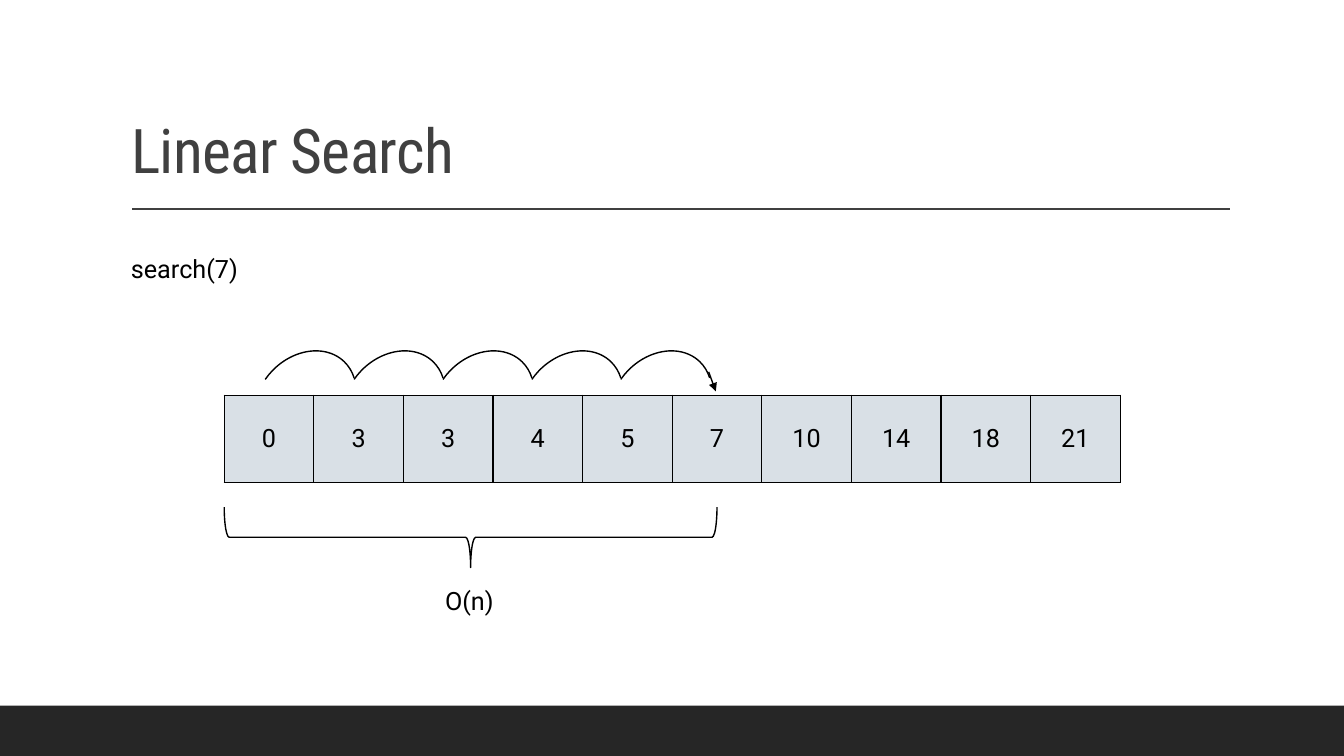
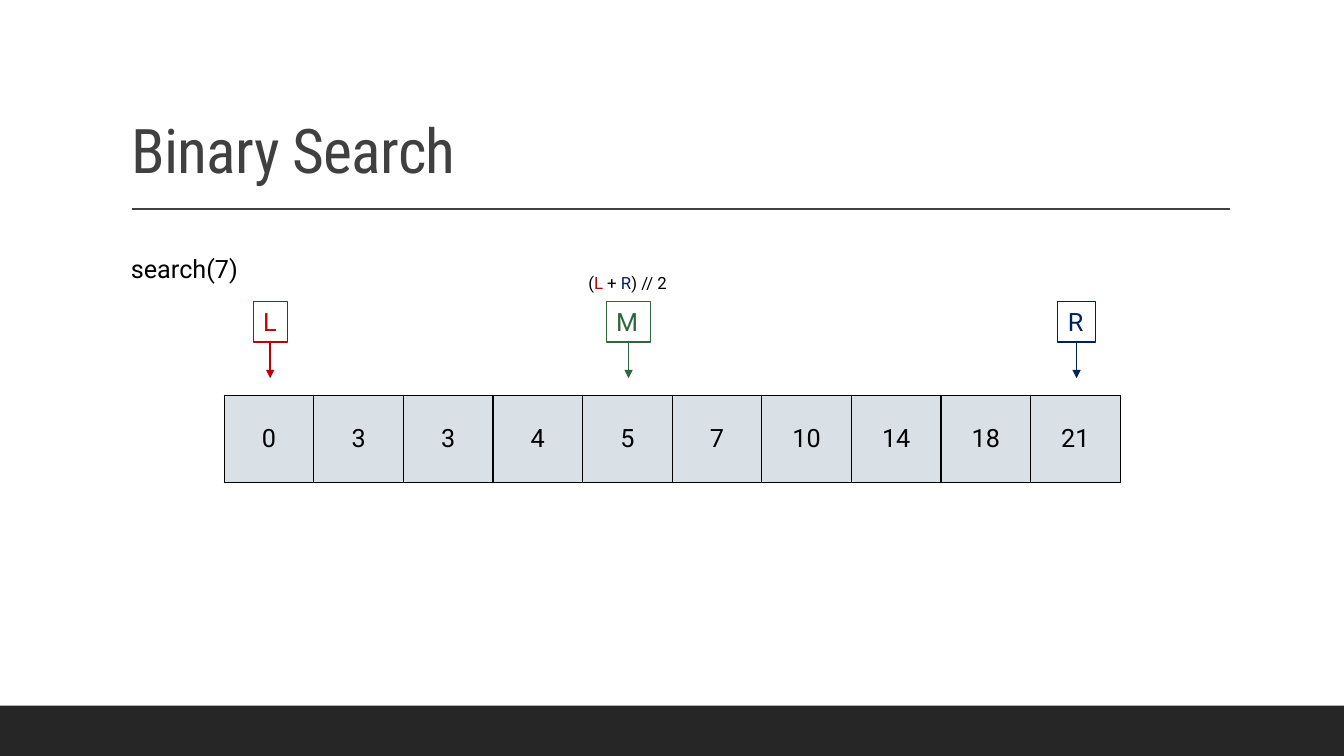
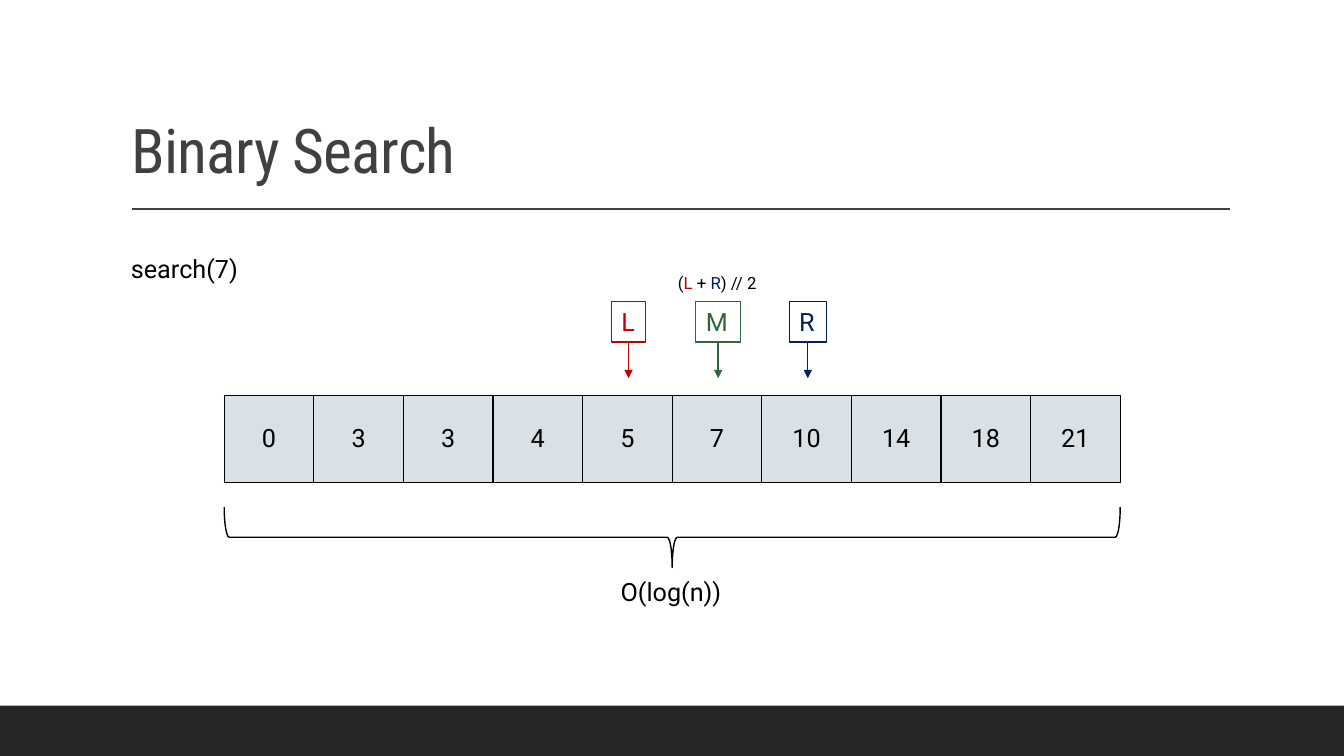
from dataclasses import dataclass

from lxml.etree import SubElement
from pptx import Presentation
from pptx.dml.color import RGBColor
from pptx.enum.shapes import MSO_CONNECTOR as Connector, MSO_SHAPE as Preset
from pptx.enum.text import MSO_ANCHOR as Anchor, MSO_AUTO_SIZE as AutoSize, PP_ALIGN as Align
from pptx.oxml.ns import qn
from pptx.util import Cm, Pt

BLACK = RGBColor(0x00, 0x00, 0x00)
BAND = RGBColor(0x26, 0x26, 0x26)
GREY = RGBColor(0x40, 0x40, 0x40)
CELL_FILL = RGBColor(0xD9, 0xE0, 0xE6)
RED = RGBColor(0xC0, 0x00, 0x00)
NAVY = RGBColor(0x00, 0x20, 0x60)
GREEN = RGBColor(0x2F, 0x66, 0x3E)

BODY_FONT = "Roboto"
TITLE_FONT = "Roboto Condensed"
VALUES = (0, 3, 3, 4, 5, 7, 10, 14, 18, 21)
POINTERS = {"L": (RED, 0.86), "M": (GREEN, 1.12), "R": (NAVY, 0.94)}
FORMULA = (("(", BLACK), ("L", RED), (" + ", BLACK), ("R", NAVY), (") // 2", BLACK))


@dataclass
class Box:
    left: float
    top: float
    width: float
    height: float

    def lengths(self):
        return Cm(self.left), Cm(self.top), Cm(self.width), Cm(self.height)

    def cell_middle(self, index):
        return self.left + self.width / len(VALUES) * (index + 0.5)


SLIDE = Box(0, 0, 33.87, 19.05)
TITLE = Box(3.05, 0.79, 27.94, 4.04)
CALL = Box(3.05, 6.25, 3.3, 1.02)
ARRAY = Box(5.65, 9.96, 22.58, 2.19)


def style_span(span, color, size=18, font=BODY_FONT):
    span.font.name = font
    span.font.size = Pt(size)
    span.font.color.rgb = color


def style_runs(para, color, size=18, font=BODY_FONT):
    for span in para.runs:
        style_span(span, color, size, font)


def fit_text(frame):
    frame.word_wrap = False
    frame.auto_size = AutoSize.SHAPE_TO_FIT_TEXT
    frame.vertical_anchor = Anchor.TOP


def add_label(page, box, text, align=Align.LEFT):
    frame = page.shapes.add_textbox(*box.lengths()).text_frame
    fit_text(frame)
    frame.text = text
    para = frame.paragraphs[0]
    para.alignment = align
    style_runs(para, BLACK)


def add_line(page, start, end, color, arrow=False):
    ends = [Cm(value) for value in (*start, *end)]
    line = page.shapes.add_connector(Connector.STRAIGHT, *ends)
    line.line.color.rgb = color
    line.line.width = Pt(1)
    properties = line.element.spPr
    if arrow:
        SubElement(properties.find(qn("a:ln")), qn("a:tailEnd"), type="triangle")
    SubElement(properties, qn("a:effectLst"))
    return line


def add_outline(page, preset, box, color=BLACK, width=1):
    shape = page.shapes.add_shape(preset, *box.lengths())
    shape.shadow.inherit = False
    shape.fill.background()
    shape.line.color.rgb = color
    shape.line.width = Pt(width)
    return shape


def share_frame(page, layout):
    band = page.shapes.add_shape(Preset.RECTANGLE, *Box(0, 17.78, SLIDE.width, 1.27).lengths())
    band.shadow.inherit = False
    band.fill.solid()
    band.fill.fore_color.rgb = BAND
    band.line.fill.background()
    rule = add_line(page, (3.33, 5.27), (31, 5.27), GREY)
    for number, shape in enumerate((band, rule), 100):
        shape.element.xpath(".//p:cNvPr")[0].set("id", str(number))
        layout.shapes.element.append(shape.element)


def add_title(page, box, text):
    title = page.shapes.title
    title.left, title.top, title.width, title.height = box.lengths()
    frame = title.text_frame
    frame.text = text
    frame.word_wrap = True
    frame.auto_size = AutoSize.NONE
    frame.vertical_anchor = Anchor.BOTTOM
    para = frame.paragraphs[0]
    para.alignment = Align.LEFT
    para.line_spacing = 0.9
    style_runs(para, GREY, 44, TITLE_FONT)
    title.element.xpath(".//a:rPr")[0].set("spc", "-50")


def add_borders(cell):
    properties = cell._tc.get_or_add_tcPr()
    for side in ("a:lnL", "a:lnR", "a:lnT", "a:lnB"):
        border = SubElement(properties, qn(side), w=str(Pt(1)))
        fill = SubElement(border, qn("a:solidFill"))
        SubElement(fill, qn("a:srgbClr"), val=str(BLACK))


def add_array(page, box):
    table = page.shapes.add_table(1, len(VALUES), *box.lengths()).table
    table.first_row = False
    table.horz_banding = False
    for column, value in enumerate(VALUES):
        table.columns[column].width = Cm(box.width / len(VALUES))
        cell = table.cell(0, column)
        add_borders(cell)
        cell.fill.solid()
        cell.fill.fore_color.rgb = CELL_FILL
        cell.vertical_anchor = Anchor.MIDDLE
        cell.text = str(value)
        para = cell.text_frame.paragraphs[0]
        para.alignment = Align.CENTER
        style_runs(para, BLACK)


def add_hops(page, array, count):
    pitch = 2.24
    for hop in range(count):
        box = Box(array.left + 0.62 + hop * pitch, array.top - 0.97, 2.84, 2.29)
        arc = add_outline(page, Preset.ARC, box)
        arc.adjustments[0] = 153.4
        arc.adjustments[1] = 11.71
        arc.rotation = 314.1
    tip = array.cell_middle(count) - 0.03
    add_line(page, (tip - 0.18, array.top - 0.59), (tip, array.top - 0.1), BLACK, arrow=True)


def add_pointer(page, array, name, index):
    color, width = POINTERS[name]
    middle = array.cell_middle(index) + 0.03
    box = Box(middle - width / 2, array.top - 2.36, width, 1.02)
    tag = add_outline(page, Preset.RECTANGLE, box, color, 0.75)
    fit_text(tag.text_frame)
    tag.text_frame.text = name
    para = tag.text_frame.paragraphs[0]
    para.alignment = Align.LEFT
    style_runs(para, color)
    arrow = add_line(page, (middle, box.top + box.height), (middle, array.top - 0.43), color, arrow=True)
    arrow.begin_connect(tag, 2)


def add_formula(page, array, index):
    width = 2.51
    box = Box(array.cell_middle(index) + 0.02 - width / 2, array.top - 3.21, width, 0.76)
    frame = page.shapes.add_textbox(*box.lengths()).text_frame
    fit_text(frame)
    para = frame.paragraphs[0]
    for text, color in FORMULA:
        span = para.add_run()
        span.text = text
        style_span(span, color, 12)


def add_cost(page, array, cells, text, width, gap):
    span_width = array.width / len(VALUES) * cells
    middle = array.left + span_width / 2
    top, depth = array.top + 2.82, 1.52
    box = Box(middle - depth / 2, top + depth / 2 - span_width / 2, depth, span_width)
    add_outline(page, Preset.RIGHT_BRACE, box).rotation = 90
    label = Box(middle - 0.03 - width / 2, top + depth + gap, width, 1.02)
    add_label(page, label, text, Align.CENTER)


def add_search_page(deck, layout, title):
    page = deck.slides.add_slide(layout)
    add_title(page, TITLE, title)
    add_array(page, ARRAY)
    add_label(page, CALL, "search(7)")
    return page


def add_binary_page(deck, layout, left, middle, right):
    page = add_search_page(deck, layout, "Binary Search")
    for name, index in zip("LMR", (left, middle, right)):
        add_pointer(page, ARRAY, name, index)
    add_formula(page, ARRAY, middle)
    return page


def main():
    deck = Presentation()
    deck.slide_width, deck.slide_height = Cm(SLIDE.width), Cm(SLIDE.height)
    layout = deck.slide_layouts[5]

    linear = add_search_page(deck, layout, "Linear Search")
    share_frame(linear, layout)
    add_hops(linear, ARRAY, 5)
    add_cost(linear, ARRAY, 5.5, "O(n)", 1.83, 0.33)

    add_binary_page(deck, layout, 0, 4, 9)
    last = add_binary_page(deck, layout, 4, 5, 6)
    add_cost(last, ARRAY, 10, "O(log(n))", 3.33, 0.11)

    deck.save("out.pptx")


if __name__ == "__main__":
    main()
